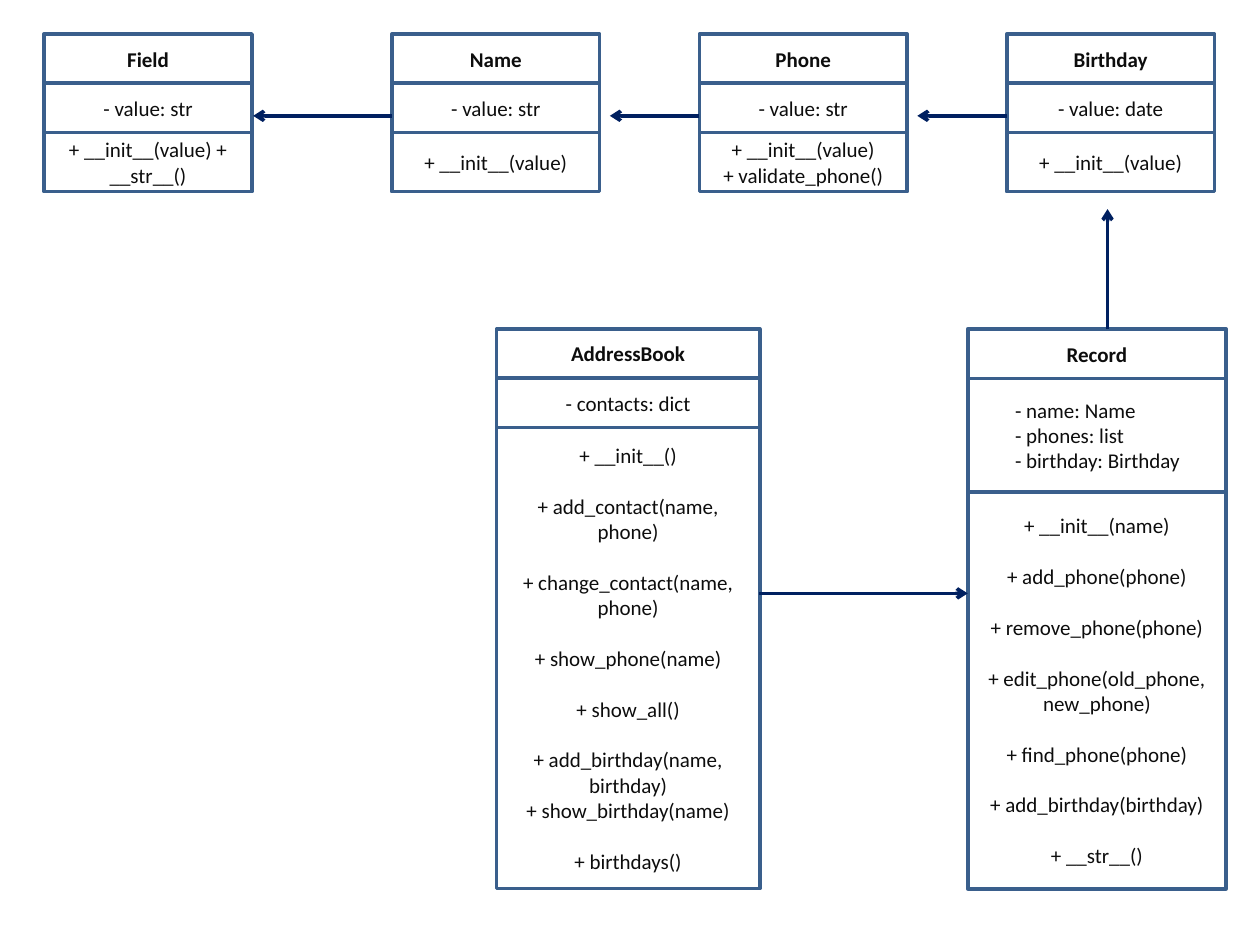
from lxml import etree
from pptx import Presentation
from pptx.dml.color import RGBColor
from pptx.enum.shapes import MSO_CONNECTOR, MSO_SHAPE
from pptx.enum.text import MSO_ANCHOR, PP_ALIGN
from pptx.oxml.ns import qn
from pptx.util import Pt

RECT = MSO_SHAPE.RECTANGLE
LINE = MSO_CONNECTOR.STRAIGHT
MIDDLE = MSO_ANCHOR.MIDDLE
CENTER, LEFT = PP_ALIGN.CENTER, PP_ALIGN.LEFT

COLORS = {"border": "3A5F8C", "arrow": "002060", "text": "0D0D0D"}
FONT, SIZE, STROKE = "Calibri", 12, 2
GAP = 14.6  # one text line between groups of members

# Top row: name, attribute, methods, left edge, end of its arrow
TOP = 19.4
ROW = [
    ("Field", "- value: str", ["+ __init__(value) + __str__()"], 25.2, None),
    ("Name", "- value: str", ["+ __init__(value)"], 223.9, 144.7),
    ("Phone", "- value: str",
     ["+ __init__(value)", "+ validate_phone()"], 399.6, 348.5),
    ("Birthday", "- value: date", ["+ __init__(value)"], 575.3, 524.2),
]

# Members come in groups, and a gap parts one group from the next
RECORD = [
    ("Record", 28.4, []),
    ("", 64.8, [["- name: Name", "- phones: list", "- birthday: Birthday"]]),
    ("", 226.8, [["+ __init__(name)"], ["+ add_phone(phone)"],
                 ["+ remove_phone(phone)"],
                 ["+ edit_phone(old_phone, new_phone)"],
                 ["+ find_phone(phone)"], ["+ add_birthday(birthday)"],
                 ["+ __str__()"]]),
]
BOOK = [
    ("AddressBook", 28.2, []),
    ("", 28.2, [["- contacts: dict"]]),
    ("", 263.5, [["+ __init__()"], ["+ add_contact(name, phone)"],
                 ["+ change_contact(name, phone)"],
                 ["+ show_phone(name)"], ["+ show_all()"],
                 ["+ add_birthday(name, birthday)", "+ show_birthday(name)"],
                 ["+ birthdays()"]]),
]


def color(name):
    return RGBColor.from_string(COLORS[name])


def write(frame, groups, bold, align):
    frame.word_wrap = True
    frame.vertical_anchor = MIDDLE
    first = True
    for group in groups:
        for num, text in enumerate(group):
            para = frame.paragraphs[0] if first else frame.add_paragraph()
            para.text = text
            para.alignment = align
            para.font.name, para.font.size = FONT, Pt(SIZE)
            para.font.bold = bold
            para.font.color.rgb = color("text")
            if num == 0 and not first:
                para.space_before = Pt(GAP)
            first = False


def add_class(slide, left, top, width, parts, inset=None):
    """Stack the parts of a class; an inset left-aligns its attributes."""
    for num, (title, height, groups) in enumerate(parts):
        box = slide.shapes.add_shape(
            RECT, Pt(left), Pt(top), Pt(width), Pt(height))
        box.shadow.inherit = False
        box.fill.background()
        box.line.color.rgb = color("border")
        box.line.width = Pt(STROKE)
        align = CENTER
        if inset and num == 1:
            align = LEFT
            box.text_frame.margin_left = Pt(inset)
        write(box.text_frame, groups or [[title]], bool(title), align)
        top += height


def add_arrow(slide, x1, y1, x2, y2):
    arrow = slide.shapes.add_connector(LINE, Pt(x1), Pt(y1), Pt(x2), Pt(y2))
    arrow.line.color.rgb = color("arrow")
    arrow.line.width = Pt(STROKE)
    head = etree.SubElement(arrow.line._get_or_add_ln(), qn("a:tailEnd"))
    head.set("type", "arrow")
    etree.SubElement(arrow._element.spPr, qn("a:effectLst"))


def add_row(slide, top):
    for name, field, methods, left, end in ROW:
        parts = [(name, 28.2, []), ("", 28.2, [[field]]),
                 ("", 33.8, [methods])]
        add_class(slide, left, top, 118.8, parts)
        if end:
            add_arrow(slide, left, top + 46.8, end, top + 46.8)


def add_lower(slide, top):
    add_class(slide, 553, top, 147.6, RECORD, inset=27)
    add_class(slide, 283.7, top, 150.5, BOOK)
    add_arrow(slide, 433.8, top + 151.2, 553, top + 151.2)
    add_arrow(slide, 632.9, top, 632.9, top - 68.4)


def main():
    deck = Presentation()
    deck.slide_width, deck.slide_height = Pt(720), Pt(540)
    slide = deck.slides.add_slide(deck.slide_layouts[6])
    add_row(slide, TOP)
    add_lower(slide, 187.9)
    deck.save("out.pptx")


if __name__ == "__main__":
    main()
